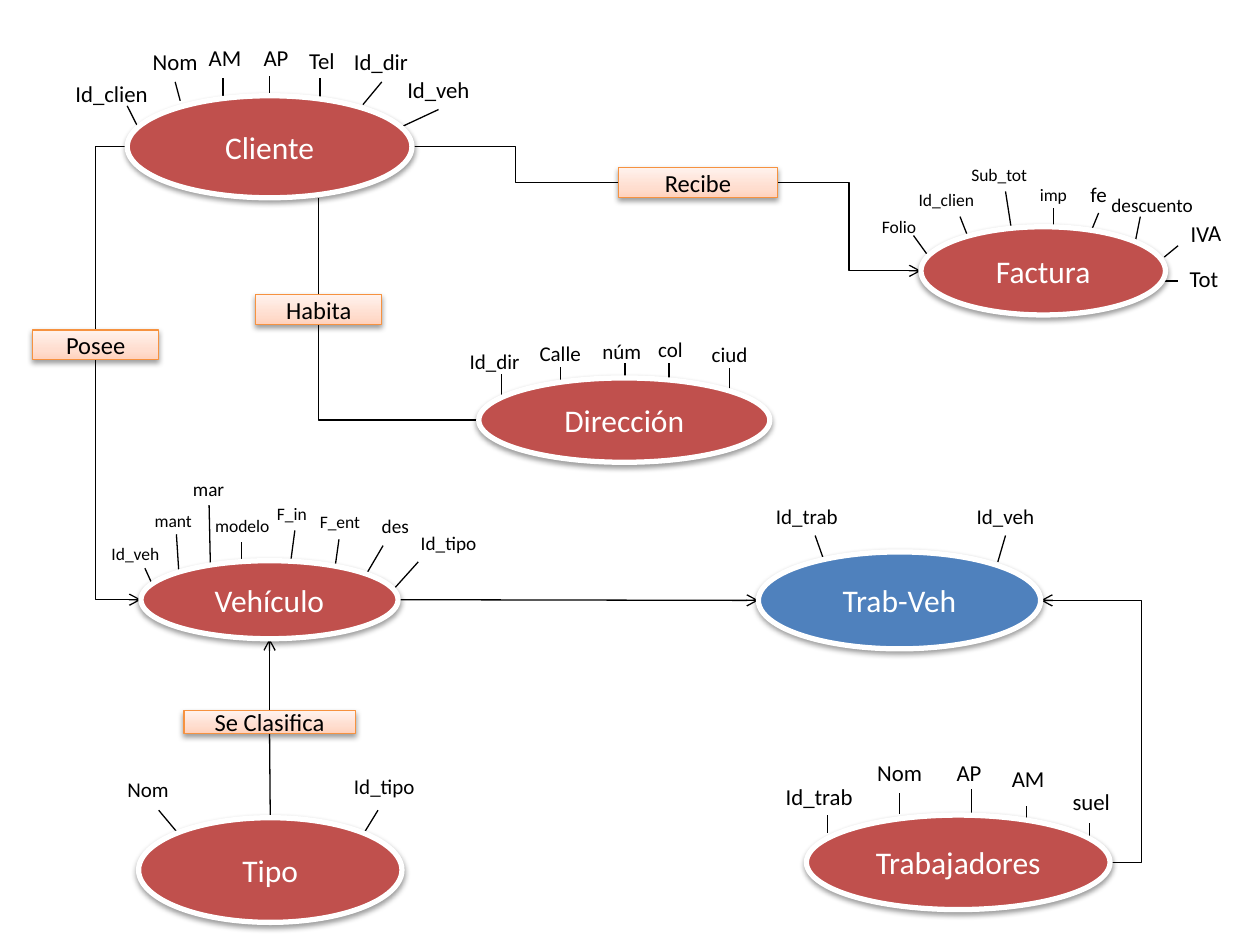
from dataclasses import dataclass
from typing import NamedTuple

from lxml.etree import SubElement
from pptx import Presentation
from pptx.dml.color import RGBColor
from pptx.enum.shapes import MSO_CONNECTOR as Connector, MSO_SHAPE as Preset
from pptx.enum.text import MSO_ANCHOR as Anchor, PP_ALIGN as Align
from pptx.oxml import parse_xml
from pptx.oxml.ns import nsdecls, qn
from pptx.util import Pt

RED, BLUE, WHITE, BLACK, ORANGE = "C0504D", "4F81BD", "FFFFFF", "000000", "F69240"
PEACH_STOPS = ((0, "FFD2BD"), (35, "FFDED0"), (100, "FFF2ED"))


class Point(NamedTuple):
    x: float
    y: float


class Attribute(NamedTuple):
    text: str
    left: float
    top: float
    width: float
    size: int
    tick: tuple[float, float, float, float]
    align: Align = Align.CENTER
    rotation: float = 0


@dataclass(frozen=True)
class Node:
    text: str
    x: float
    y: float
    width: float
    height: float
    color: str = RED
    attributes: tuple[Attribute, ...] = ()

    @property
    def left(self) -> Point:
        return Point(self.x, self.y + self.height / 2)

    @property
    def right(self) -> Point:
        return Point(self.x + self.width, self.y + self.height / 2)

    @property
    def top(self) -> Point:
        return Point(self.x + self.width / 2, self.y)

    @property
    def bottom(self) -> Point:
        return Point(self.x + self.width / 2, self.y + self.height)


class Link(NamedTuple):
    start: Point
    end: Point
    preset: str = "line"
    arrow: str = ""
    bend: int = 50000


client = Node("Cliente", 72.7, 54.7, 162.7, 58.3, attributes=(
    Attribute("Id_clien", 36, 41.8, 56.2, 13, (78.5, 72, 72.7, 60.5), Align.LEFT),
    Attribute("Nom", 76.3, 23.8, 47.5, 13, (103, 57.6, 100.1, 46.8)),
    Attribute("AM", 108.7, 21.6, 39.6, 13, (127.4, 54.7, 127.4, 44.6)),
    Attribute("AP", 140.4, 21.6, 34.6, 13, (154.1, 54.7, 154.1, 43.2)),
    Attribute("Tel", 166.3, 23, 35.3, 13, (182.9, 56.2, 182.9, 44.6)),
    Attribute("Id_dir", 195.1, 23.8, 46.8, 13, (207.4, 59.8, 218.2, 46.8), Align.LEFT),
    Attribute("Id_veh", 224.6, 39.6, 51.8, 13, (230.4, 72, 250.6, 62.6)),
))
invoice = Node("Factura", 526.3, 129.6, 139.7, 50.4, attributes=(
    Attribute("Folio", 493.2, 120.2, 41, 10, (531.4, 147.6, 522, 134.6)),
    Attribute("Id_clien", 515.5, 104.4, 50.4, 10, (553.7, 136.8, 548.6, 123.8)),
    Attribute("Sub_tot", 547.2, 90, 47.5, 10, (578.2, 132.5, 574.6, 109.4)),
    Attribute("imp", 584.6, 101.5, 34.6, 10, (601.9, 131.8, 601.9, 118.8)),
    Attribute("fe", 612.7, 100.1, 30.2, 12, (622.8, 133.9, 627.8, 121.7)),
    Attribute("descuento", 627.8, 106.6, 61.2, 11, (648, 141.8, 651.6, 123.8)),
    Attribute("IVA", 673.2, 121.7, 38.2, 13, (665.3, 146.9, 673.2, 140.4), Align.LEFT, 359.5),
    Attribute("Tot", 670.3, 147.6, 35.3, 13, (661.7, 160.6, 673.2, 160.6)),
))
address = Node("Dirección", 273.6, 216, 166.3, 48.2, attributes=(
    Attribute("Id_dir", 254.2, 195.8, 56.9, 12, (286.6, 226.1, 286.6, 213.8)),
    Attribute("Calle", 297.4, 190.8, 45.4, 12, (320.4, 217.4, 320.4, 209.5)),
    Attribute("núm", 332.6, 190.1, 45.4, 12, (357.1, 216, 357.1, 207.4)),
    Attribute("col", 365.8, 188.6, 34.6, 12, (382.3, 216, 382.3, 207.4)),
    Attribute("ciud", 396, 191.5, 41.8, 12, (416.9, 222.5, 416.9, 210.2)),
))
vehicle = Node("Vehículo", 80.6, 320.4, 146.9, 44.6, attributes=(
    Attribute("Id_veh", 55.4, 306.7, 43.9, 10, (86.4, 332.6, 82.8, 324.7)),
    Attribute("mant", 80.6, 288, 36.7, 10, (102.2, 326.9, 100.8, 305.3)),
    Attribute("mar", 100.1, 269.3, 38.2, 11, (120.2, 321.8, 119.5, 288.7)),
    Attribute("modelo", 115.9, 290.9, 48.2, 10, (138.2, 319.7, 138.2, 309.6), Align.LEFT),
    Attribute("F_in", 151.2, 283.7, 33.8, 10, (166.3, 319.7, 168.5, 303.1), Align.LEFT),
    Attribute("F_ent", 175.7, 288.7, 38.9, 10, (191.5, 324, 193.7, 308.2), Align.LEFT),
    Attribute("des", 211, 290.2, 39.6, 11, (208.8, 329, 218.9, 311.8), Align.LEFT),
    Attribute("Id_tipo", 232.6, 300.2, 47.5, 11, (225.4, 336.2, 239, 321.1)),
))
assignment = Node("Trab-Veh", 433.4, 315.4, 161.3, 55.4, BLUE, (
    Attribute("Id_trab", 433.4, 284.4, 55.4, 12, (470.9, 320.4, 465.8, 306)),
    Attribute("Id_veh", 547.9, 284.4, 53.3, 12, (570.2, 321.1, 574.6, 306)),
))
category = Node("Tipo", 79.2, 467.3, 150.5, 59.8, attributes=(
    Attribute("Nom", 56.9, 439.9, 55.4, 12, (101.5, 475.9, 90.7, 463)),
    Attribute("Id_tipo", 182.9, 438.5, 73.4, 12, (208.1, 475.9, 216, 463)),
))
workers = Node("Trabajadores", 460.8, 465.8, 173.5, 54, attributes=(
    Attribute("Id_trab", 439.9, 443.5, 56.2, 13, (473, 475.9, 473, 465.8)),
    Attribute("Nom", 493.9, 429.8, 40.3, 13, (514.1, 465.1, 514.1, 452.9)),
    Attribute("AP", 538.6, 429.8, 30.2, 13, (555.1, 467.3, 555.1, 450.7)),
    Attribute("AM", 565.9, 433.4, 43.2, 13, (586.8, 467.3, 586.8, 460.8)),
    Attribute("suel", 604.1, 446.4, 38.9, 13, (622.8, 478.1, 622.8, 470.2)),
))
classified = Node("Se Clasifica", 105.1, 406.1, 97.9, 13)
receives = Node("Recibe", 353.5, 95.8, 90.7, 17.3)
owns = Node("Posee", 18.7, 188.6, 72, 17)
lives = Node("Habita", 146.2, 168.5, 72, 17)

ENTITIES = (client, invoice, address, vehicle, assignment, category, workers)
RELATIONS = (classified, receives, owns, lives)
LINKS = (
    Link(classified.top, vehicle.bottom, arrow="tailEnd"),
    Link(classified.bottom, category.top),
    Link(vehicle.right, assignment.left, arrow="tailEnd"),
    Link(workers.right, assignment.right, "bentConnector3", "tailEnd", -45300),
    Link(client.right, receives.left, "bentConnector3"),
    Link(receives.right, invoice.left, "bentConnector3", "tailEnd"),
    Link(client.left, owns.top, "bentConnector2"),
    Link(vehicle.left, owns.bottom, "bentConnector2", "headEnd"),
    Link(Point(lives.top.x, client.bottom.y), lives.top),
    Link(address.left, lives.bottom, "bentConnector2"),
)


def rgb(color: str) -> RGBColor:
    return RGBColor.from_string(color)


def add_text(frame, text: str, size: int, color: str, align: Align) -> None:
    para = frame.paragraphs[0]
    para.alignment = align
    span = para.add_run()
    span.text = text
    span.font.name, span.font.size = "Calibri", Pt(size)
    span.font.color.rgb = rgb(color)


def add_link(page, link: Link) -> None:
    kind = Connector.STRAIGHT if link.preset == "line" else Connector.ELBOW
    line = page.shapes.add_connector(kind, *map(Pt, (*link.start, *link.end)))
    line.line.color.rgb, line.line.width = rgb(BLACK), Pt(0.75)
    properties = line._element.spPr
    geometry = properties.find(qn("a:prstGeom"))
    geometry.set("prst", link.preset)
    if link.preset == "bentConnector3":
        SubElement(geometry.find(qn("a:avLst")), qn("a:gd"), name="adj1", fmla=f"val {link.bend}")
    if link.arrow:
        SubElement(properties.find(qn("a:ln")), qn(f"a:{link.arrow}"), type="arrow")
    SubElement(properties, qn("a:effectLst"))


def add_attribute(page, item: Attribute) -> None:
    x1, y1, x2, y2 = item.tick
    add_link(page, Link(Point(x1, y1), Point(x2, y2)))
    height = round(item.size * 1.22 + 7.2, 1)
    box = page.shapes.add_textbox(*map(Pt, (item.left, item.top, item.width, height)))
    box.rotation = item.rotation
    box.text_frame.word_wrap = False
    add_text(box.text_frame, item.text, item.size, BLACK, item.align)


def add_node(page, node: Node, preset: Preset, line: str, weight: float, size: int, ink: str):
    box = page.shapes.add_shape(preset, *map(Pt, (node.x, node.y, node.width, node.height)))
    box.fill.solid()
    box.fill.fore_color.rgb = rgb(node.color)
    box.line.color.rgb, box.line.width = rgb(line), Pt(weight)
    box._element.spPr.append(parse_xml(
        f'<a:effectLst {nsdecls("a")}><a:outerShdw blurRad="40000" dist="20000" dir="5400000" '
        'rotWithShape="0"><a:srgbClr val="000000"><a:alpha val="38000"/></a:srgbClr>'
        '</a:outerShdw></a:effectLst>'))
    box.text_frame.vertical_anchor = Anchor.MIDDLE
    add_text(box.text_frame, node.text, size, ink, Align.CENTER)
    return box


def add_relation(page, node: Node) -> None:
    box = add_node(page, node, Preset.RECTANGLE, ORANGE, 0.75, 14, BLACK)
    stops = "".join(f'<a:gs pos="{place * 1000}"><a:srgbClr val="{color}"/></a:gs>'
                    for place, color in PEACH_STOPS)
    properties = box._element.spPr
    properties.replace(properties.find(qn("a:solidFill")), parse_xml(
        f'<a:gradFill {nsdecls("a")} rotWithShape="1"><a:gsLst>{stops}</a:gsLst>'
        '<a:lin ang="16200000" scaled="0"/></a:gradFill>'))


deck = Presentation()
deck.slide_width, deck.slide_height = Pt(720), Pt(540)
page = deck.slides.add_slide(deck.slide_layouts[6])
for link in LINKS:
    add_link(page, link)
for entity in ENTITIES:
    for attribute in entity.attributes:
        add_attribute(page, attribute)
    add_node(page, entity, Preset.OVAL, WHITE, 3, 18, WHITE)
for relation in RELATIONS:
    add_relation(page, relation)
deck.save("out.pptx")
